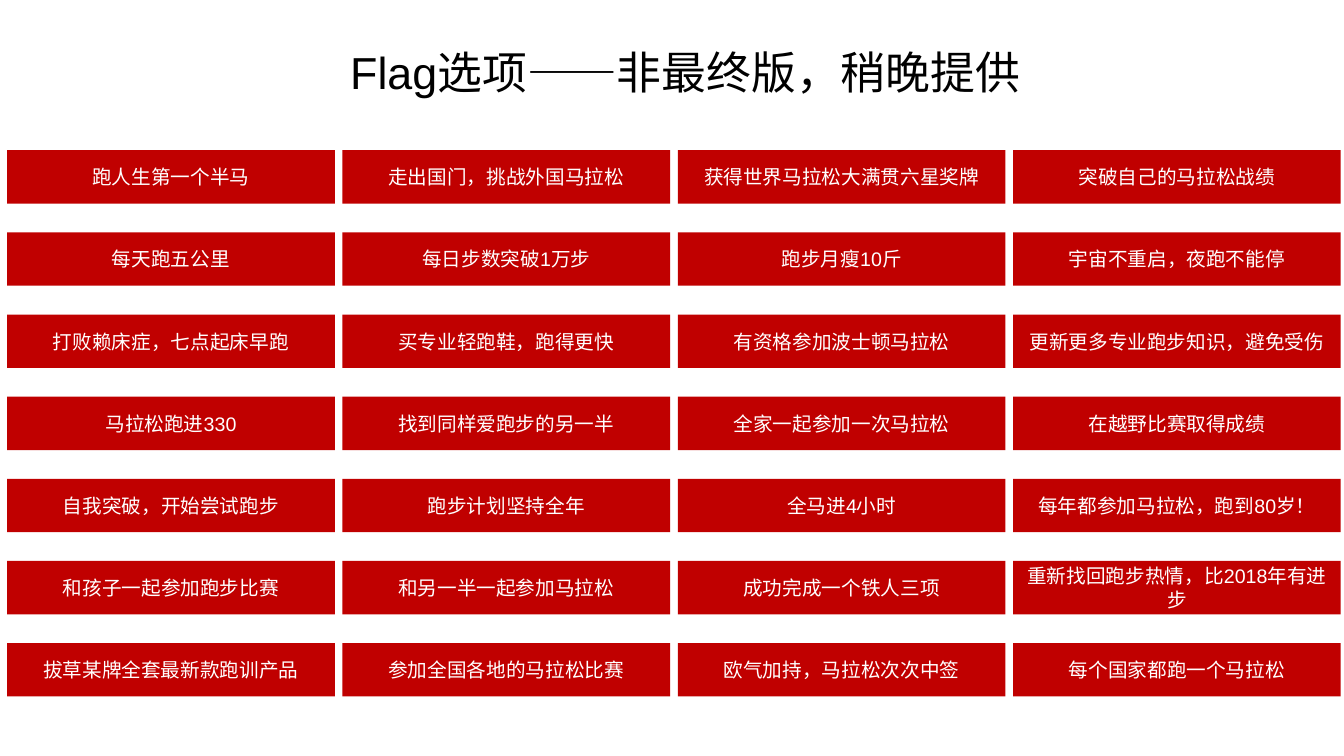
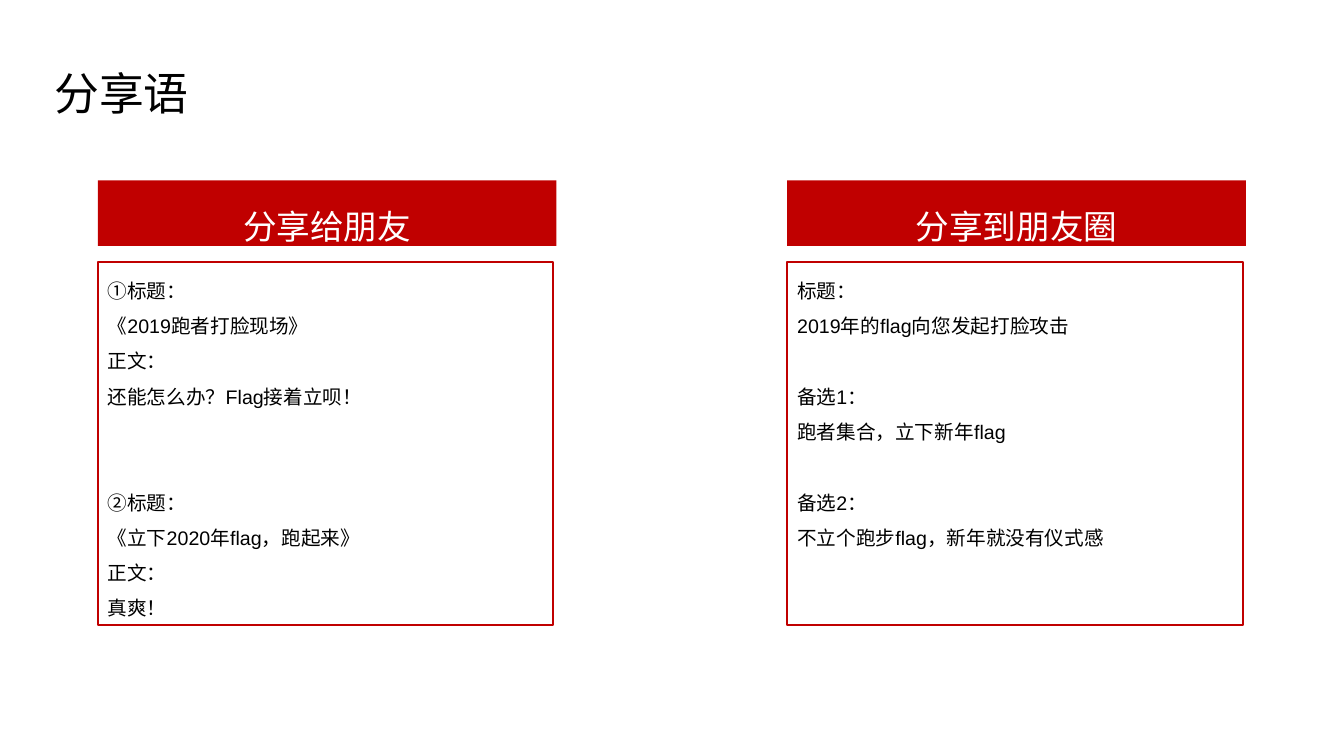
from dataclasses import dataclass

from pptx import Presentation
from pptx.dml.color import RGBColor
from pptx.enum.shapes import MSO_SHAPE as Preset
from pptx.enum.text import MSO_ANCHOR as Anchor, PP_ALIGN as Align
from pptx.util import Inches, Pt


@dataclass(frozen=True)
class Theme:
    """Colours, font, type sizes and spacing shared by the slides."""
    red: RGBColor = RGBColor(0xC0, 0x00, 0x00)
    black: RGBColor = RGBColor(0x00, 0x00, 0x00)
    white: RGBColor = RGBColor(0xFF, 0xFF, 0xFF)
    font: str = "Arial"
    title: int = 32
    heading: int = 24
    body: int = 14
    outline: float = 1.5
    loose: float = 1.5
    line_pitch: float = 25.2


THEME = Theme()


@dataclass(frozen=True)
class Box:
    """A rectangle that hands out parts of itself in percent shares."""
    left: float
    top: float
    width: float
    height: float

    def share(self, left, top, width, height):
        """Return the part at the given percentages of this box."""
        return Box(self.left + self.width * left / 100,
                   self.top + self.height * top / 100,
                   self.width * width / 100, self.height * height / 100)

    def tiles(self, columns, rows, width, height):
        """Return equally spaced tiles, row by row, of the given percent size."""
        step_x = (100 - width) / max(columns - 1, 1)
        step_y = (100 - height) / max(rows - 1, 1)
        return [self.share(column * step_x, row * step_y, width, height)
                for row in range(rows) for column in range(columns)]

    def place(self):
        """Return left, top, width and height as whole slide units."""
        return tuple(round(value) for value in
                     (self.left, self.top, self.width, self.height))


PAGE = Box(0, 0, Inches(13.33), Inches(7.5))

FLAGS = [
    "跑人生第一个半马", "走出国门，挑战外国马拉松",
    "获得世界马拉松大满贯六星奖牌", "突破自己的马拉松战绩",
    "每天跑五公里", "每日步数突破1万步", "跑步月瘦10斤", "宇宙不重启，夜跑不能停",
    "打败赖床症，七点起床早跑", "买专业轻跑鞋，跑得更快",
    "有资格参加波士顿马拉松", "更新更多专业跑步知识，避免受伤",
    "马拉松跑进330", "找到同样爱跑步的另一半", "全家一起参加一次马拉松", "在越野比赛取得成绩",
    "自我突破，开始尝试跑步", "跑步计划坚持全年", "全马进4小时", "每年都参加马拉松，跑到80岁！",
    "和孩子一起参加跑步比赛", "和另一半一起参加马拉松",
    "成功完成一个铁人三项", "重新找回跑步热情，比2018年有进步",
    "拔草某牌全套最新款跑训产品", "参加全国各地的马拉松比赛",
    "欧气加持，马拉松次次中签", "每个国家都跑一个马拉松",
]

PANELS = [
    ("分享给朋友", 2, [
        ["①标题：", "《2019跑者打脸现场》", "正文：", "还能怎么办？Flag接着立呗！"],
        ["②标题：", "《立下2020年flag，跑起来》", "正文：", "真爽！"],
    ]),
    ("分享到朋友圈", 1, [
        ["标题：", "2019年的flag向您发起打脸攻击"],
        ["备选1：", "跑者集合，立下新年flag"],
        ["备选2：", "不立个跑步flag，新年就没有仪式感"],
    ]),
]


def write(paragraph, text, size, color, align=Align.LEFT, spacing=1.0):
    """Add one styled run to a paragraph."""
    paragraph.alignment = align
    paragraph.line_spacing = spacing
    run = paragraph.add_run()
    run.text = text
    run.font.name = THEME.font
    run.font.size = Pt(size)
    run.font.color.rgb = color


def add_title(slide, box, text, align):
    """Place a slide title in the box."""
    frame = slide.shapes.add_textbox(*box.place()).text_frame
    frame.word_wrap = True
    write(frame.paragraphs[0], text, THEME.title, THEME.black, align)


def add_rectangle(slide, box, anchor, filled):
    """Place a red filled or red outlined rectangle and return its text frame."""
    shape = slide.shapes.add_shape(Preset.RECTANGLE, *box.place())
    shape.shadow.inherit = False
    if filled:
        shape.fill.solid()
        shape.fill.fore_color.rgb = THEME.red
        shape.line.fill.background()
    else:
        shape.fill.background()
        shape.line.color.rgb = THEME.red
        shape.line.width = Pt(THEME.outline)
    frame = shape.text_frame
    frame.word_wrap = True
    frame.vertical_anchor = anchor
    return frame


def add_flag_grid(slide, box, flags):
    """Fill the box with four columns and seven rows of flag labels."""
    for tile, flag in zip(box.tiles(4, 7, 24.57, 9.78), flags):
        frame = add_rectangle(slide, tile, Anchor.MIDDLE, True)
        write(frame.paragraphs[0], flag, THEME.body, THEME.white, Align.CENTER)


def add_share_panel(slide, box, heading, gap_lines, groups):
    """Place a heading band above a framed list of text groups."""
    band = add_rectangle(slide, box.share(0, 0, 100, 14.74), Anchor.TOP, True)
    write(band.paragraphs[0], heading, THEME.heading, THEME.white,
          Align.CENTER, THEME.loose)
    frame = add_rectangle(slide, box.share(0, 18.37, 99.34, 81.63),
                          Anchor.TOP, False)
    paragraph = frame.paragraphs[0]
    for group_index, group in enumerate(groups):
        for line_index, line in enumerate(group):
            if group_index or line_index:
                paragraph = frame.add_paragraph()
            if group_index and not line_index:
                paragraph.space_before = Pt(gap_lines * THEME.line_pitch)
            write(paragraph, line, THEME.body, THEME.black, spacing=THEME.loose)


def build_flag_slide(slide, page):
    """Build the slide of flag options."""
    add_title(slide, page.share(20.33, 5.2, 61.35, 8.53),
              "Flag选项——非最终版，稍晚提供", Align.CENTER)
    add_flag_grid(slide, page.share(0.53, 19.87, 99.23, 72.27), FLAGS)


def build_share_slide(slide, page):
    """Build the slide of sharing messages."""
    add_title(slide, page.share(3.3, 8, 19.2, 8.53), "分享语", Align.LEFT)
    area = page.share(7.28, 23.87, 85.42, 58.8)
    for tile, panel in zip(area.tiles(2, 1, 39.95, 100), PANELS):
        add_share_panel(slide, tile, *panel)


def main():
    """Create the presentation and save it."""
    presentation = Presentation()
    presentation.slide_width = PAGE.width
    presentation.slide_height = PAGE.height
    blank = presentation.slide_layouts[6]
    for build in (build_flag_slide, build_share_slide):
        build(presentation.slides.add_slide(blank), PAGE)
    presentation.save("out.pptx")


if __name__ == "__main__":
    main()
